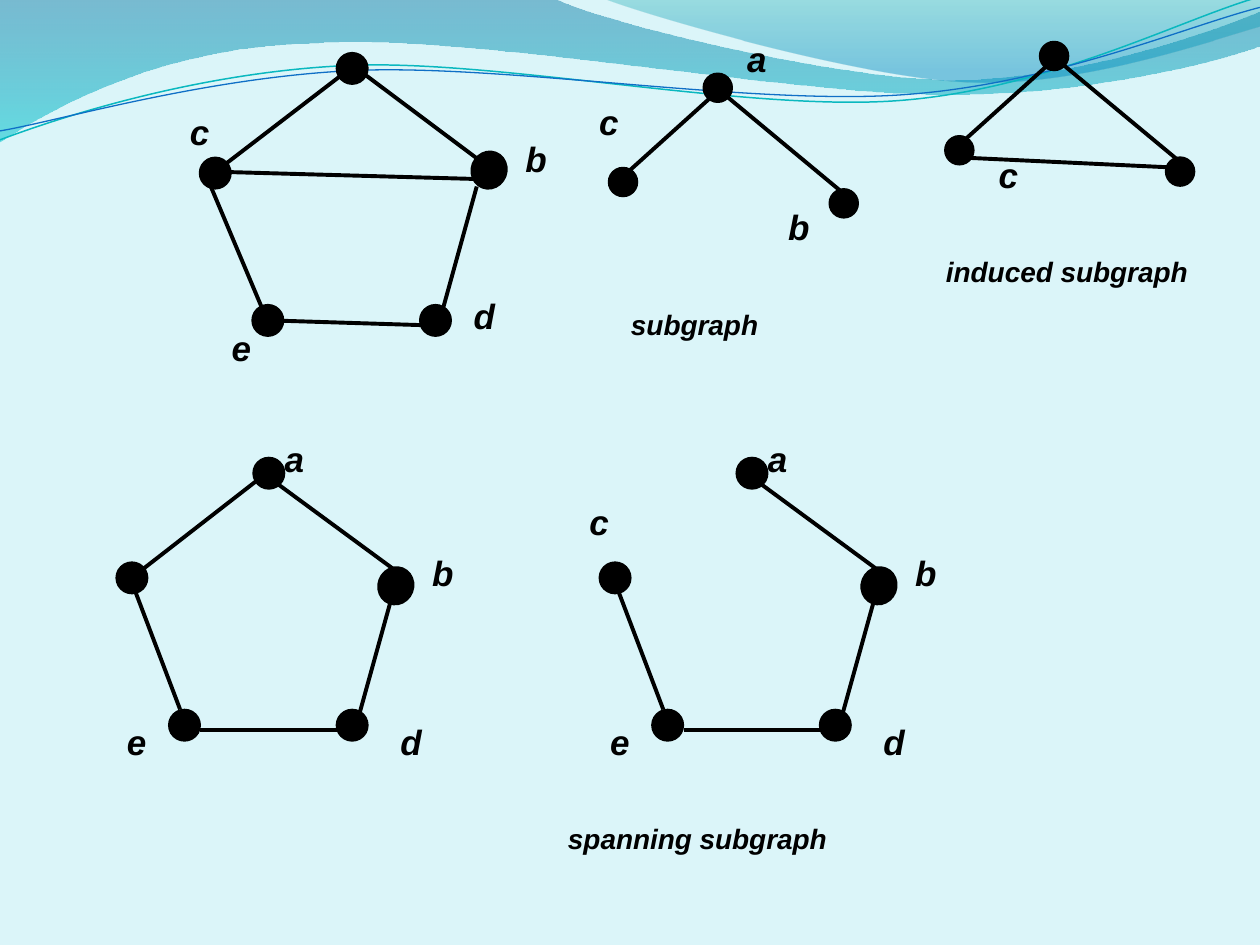
from dataclasses import dataclass, field

from lxml import etree
from pptx import Presentation
from pptx.dml.color import RGBColor
from pptx.enum.shapes import MSO_CONNECTOR, MSO_SHAPE
from pptx.enum.text import MSO_AUTO_SIZE
from pptx.oxml.ns import qn
from pptx.util import Cm, Pt

OVAL = MSO_SHAPE.OVAL
STRAIGHT = MSO_CONNECTOR.STRAIGHT
GROW = MSO_AUTO_SIZE.SHAPE_TO_FIT_TEXT
BLANK_LAYOUT = 6


@dataclass(frozen=True)
class Theme:
    font: str = "Arial"
    label_size: float = 20
    caption_size: float = 16
    edge_width: float = 2.25
    node_line: float = 1
    ink: str = "000000"
    background: str = "DBF5F9"
    # Gradient stops: position, colour, opacity in percent
    wide_wave: tuple = ((0, "0074A1", 45), (1, "00C6CF", 55))
    right_wave: tuple = ((0, "00A1A9", 30), (0.8, "008BBF", 45))
    # Wave lines: colour, width
    teal_line: tuple = ("0AB8BF", 0.85)
    blue_line: tuple = ("0F6FC6", 0.75)


THEME = Theme()


@dataclass
class Graph:
    """Positions in cm from the graph's own corner; nodes by centre."""
    nodes: dict
    edges: dict
    labels: dict
    diameter: float = 0.63
    large_nodes: set = field(default_factory=set)
    caption: tuple = ()  # text, left, top, width


# Wave outlines in cm: two numbers make a line, six a Bézier curve
WIDE_WAVE = [
    (0, 0), (11.18, -0.03),
    (12.09, 0.43, 16.87, 1.6, 19.25, 1.6),
    (21.67, 1.6, 24.33, 0.66, 25.4, 0.23), (25.43, 0.91),
    (24.97, 1.12, 22.1, 1.93, 18.95, 1.9),
    (15.8, 1.9, 9.7, 0.71, 6.53, 0.86),
    (3.28, 0.91, 1.17, 2.11, -0.03, 2.87),
]
RIGHT_WAVE = [
    (12.17, -0.03), (12.93, 0.28, 17.32, 1.57, 19.53, 1.65),
    (21.74, 1.75, 24.41, 0.81, 25.4, 0.53), (25.4, 0),
]
TEAL_LINE = [
    (0, 2.82), (1.22, 2.36, 4.01, 1.45, 7.04, 1.32),
    (10.03, 1.19, 15.06, 2.26, 18.11, 2.03),
    (21.16, 1.8, 23.83, 0.38, 25.35, -0.05),
]
BLUE_LINE = [
    (0, 2.64), (1.19, 2.44, 4.17, 1.55, 7.19, 1.42),
    (10.24, 1.3, 15.16, 2.13, 18.21, 1.91),
    (21.23, 1.7, 23.9, 0.53, 25.4, 0.15),
]

HOUSE = Graph(
    nodes={"a": (3.92, 0.74), "b": (6.68, 2.79), "c": (1.16, 2.85),
           "d": (5.6, 5.82), "e": (2.22, 5.82)},
    edges={"ab": (4.01, 0.74, 6.55, 2.64), "ac": (4.01, 0.64, 1.27, 2.74),
           "bc": (6.48, 2.97, 1.12, 2.82), "bd": (6.43, 3.12, 5.72, 5.69),
           "ce": (1.04, 3.05, 2.11, 5.59), "de": (5.51, 5.92, 2.31, 5.82)},
    labels={"b": (6.96, 2.01), "c": (0.2, 1.47),
            "d": (5.92, 5.18), "e": (1.04, 5.82)},
    large_nodes={"b"},
)

TRIANGLE_NODES = {"a": (3.04, 1.13), "b": (5.58, 3.46), "c": (1.13, 3.03)}
TRIANGLE_EDGES = {"ab": (3.18, 1.27, 5.72, 3.38), "ac": (3.18, 1.07, 1.07, 2.97)}
SUBGRAPH = Graph(
    TRIANGLE_NODES, TRIANGLE_EDGES,
    labels={"a": (3.18, 0), "b": (4.01, 3.38), "c": (0.2, 1.27)},
    diameter=0.58, caption=("subgraph", 0.84, 5.3, 3.61),
)
INDUCED = Graph(
    TRIANGLE_NODES, TRIANGLE_EDGES | {"bc": (5.51, 3.38, 1.27, 3.18)},
    labels={"c": (1.47, 2.97)},
    diameter=0.58, caption=("induced subgraph", 0.41, 4.88, 5.92),
)

PENTAGON_NODES = {"a": (3.31, 0.85), "b": (5.87, 3.12), "c": (0.55, 2.96),
                  "d": (4.99, 5.93), "e": (1.61, 5.93)}
PENTAGON_LABELS = {"a": (3.18, 0), "b": (6.15, 2.31),
                   "d": (5.51, 5.72), "e": (0, 5.72)}
SPANNING_EDGES = {"ab": (3.18, 0.84, 5.94, 2.87), "bd": (5.82, 3.23, 5.11, 5.79),
                  "ce": (0.51, 2.95, 1.52, 5.61), "de": (4.9, 6.03, 1.93, 6.03)}
PENTAGON = Graph(
    PENTAGON_NODES, SPANNING_EDGES | {"ac": (3.4, 0.74, 0.66, 2.87)},
    PENTAGON_LABELS, large_nodes={"b"},
)
SPANNING = Graph(
    PENTAGON_NODES, SPANNING_EDGES, PENTAGON_LABELS | {"c": (-0.42, 1.27)},
    large_nodes={"b"}, caption=("spanning subgraph", -0.85, 7.62, 6.78),
)


def color(value):
    return RGBColor.from_string(value)


def add_outline(slide, left, top, outline, close):
    """Draw straight legs through all points, then join legs into curves."""
    points = [(Cm(left + segment[i]), Cm(top + segment[i + 1]))
              for segment in outline for i in range(0, len(segment), 2)]
    builder = slide.shapes.build_freeform(*points[0])
    builder.add_line_segments(points[1:], close=close)
    shape = builder.convert_to_shape()
    shape.shadow.inherit = False
    legs = iter(list(shape._element.spPr.iter(qn("a:lnTo"))))
    for segment in outline[1:]:
        leg = next(legs)
        if len(segment) == 6:
            curve = etree.Element(qn("a:cubicBezTo"))
            leg.addprevious(curve)
            for part in (leg, next(legs), next(legs)):
                curve.append(part[0])
                part.getparent().remove(part)
    return shape


def add_waves(slide, left, top):
    # Translucent gradient bands
    for outline, stops in ((WIDE_WAVE, THEME.wide_wave), (RIGHT_WAVE, THEME.right_wave)):
        shape = add_outline(slide, left, top, outline, close=True)
        shape.line.fill.background()
        shape.fill.gradient()
        shape.fill.gradient_angle = 270
        for stop, (position, value, _) in zip(shape.fill.gradient_stops, stops):
            stop.position = position
            stop.color.rgb = color(value)
        tints = list(shape._element.spPr.iter(qn("a:srgbClr")))
        for tint, (_, _, opacity) in zip(tints, stops):
            etree.SubElement(tint, qn("a:alpha"), val=str(opacity * 1000))
    # Thin lines
    for outline, (value, width) in ((TEAL_LINE, THEME.teal_line), (BLUE_LINE, THEME.blue_line)):
        shape = add_outline(slide, left, top, outline, close=False)
        shape.fill.background()
        shape.line.color.rgb = color(value)
        shape.line.width = Pt(width)


def add_text(slide, text, left, top, width, size, inset_top):
    box = slide.shapes.add_textbox(Cm(left), Cm(top), Cm(width), Cm(1.09))
    frame = box.text_frame
    frame.word_wrap = True
    frame.auto_size = GROW
    frame.margin_left, frame.margin_top = Cm(0.45), Cm(inset_top)
    paragraph = frame.paragraphs[0]
    paragraph.text = text
    font = paragraph.font
    font.name, font.size = THEME.font, Pt(size)
    font.bold = font.italic = True
    font.color.rgb = color(THEME.ink)


def add_graph(slide, left, top, graph):
    # Edges
    for x1, y1, x2, y2 in graph.edges.values():
        edge = slide.shapes.add_connector(
            STRAIGHT, Cm(left + x1), Cm(top + y1), Cm(left + x2), Cm(top + y2))
        edge.line.color.rgb = color(THEME.ink)
        edge.line.width = Pt(THEME.edge_width)
        etree.SubElement(edge._element.spPr, qn("a:effectLst"))
    # Nodes
    for name, (x, y) in graph.nodes.items():
        large = name in graph.large_nodes
        width, height = (0.71, 0.76) if large else (graph.diameter, graph.diameter)
        node = slide.shapes.add_shape(
            OVAL, Cm(left + x - width / 2), Cm(top + y - height / 2), Cm(width), Cm(height))
        node.rotation = 20.8 if large else 0
        node.shadow.inherit = False
        node.fill.solid()
        node.fill.fore_color.rgb = node.line.color.rgb = color(THEME.ink)
        node.line.width = Pt(THEME.node_line)
    # Labels and caption
    for name, (x, y) in graph.labels.items():
        add_text(slide, name, left + x, top + y, 1.27, THEME.label_size, 0.12)
    if graph.caption:
        text, x, y, width = graph.caption
        add_text(slide, text, left + x, top + y, width, THEME.caption_size, 0.26)


def main():
    presentation = Presentation()
    presentation.slide_width, presentation.slide_height = Cm(25.4), Cm(19.05)
    slide = presentation.slides.add_slide(presentation.slide_layouts[BLANK_LAYOUT])
    slide.background.fill.solid()
    slide.background.fill.fore_color.rgb = color(THEME.background)
    add_waves(slide, 0, 0)
    for left, top, graph in (
            (3.18, 0.64, HOUSE), (11.43, 0.64, SUBGRAPH), (18.21, 0, INDUCED),
            (2.11, 8.69, PENTAGON), (11.85, 8.69, SPANNING)):
        add_graph(slide, left, top, graph)
    presentation.save("out.pptx")


if __name__ == "__main__":
    main()
